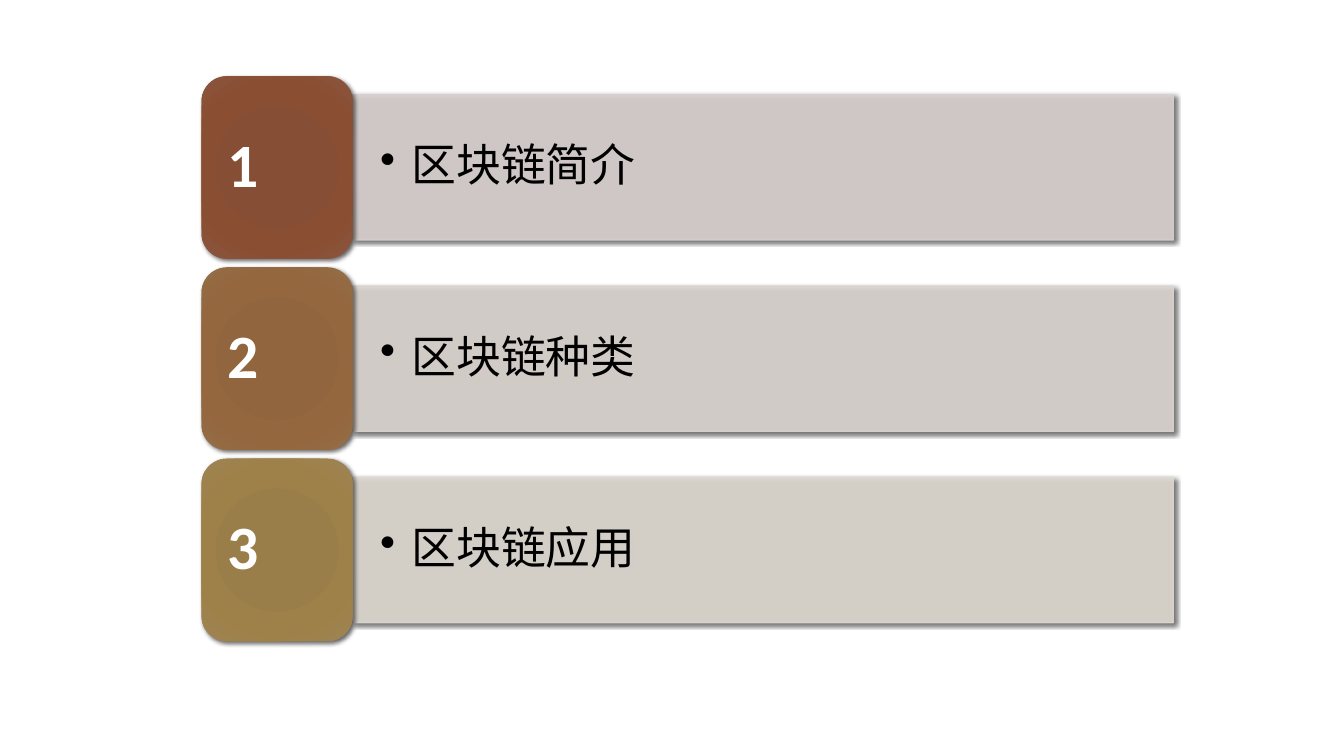
from dataclasses import dataclass

from lxml import etree
from pptx import Presentation
from pptx.dml.color import RGBColor
from pptx.enum.shapes import MSO_SHAPE
from pptx.enum.text import MSO_ANCHOR, PP_ALIGN
from pptx.oxml import parse_xml
from pptx.oxml.ns import nsdecls, qn
from pptx.shapes.autoshape import Shape
from pptx.shapes.shapetree import SlideShapes
from pptx.text.text import _Paragraph
from pptx.util import Cm, Pt

RECTANGLE = MSO_SHAPE.RECTANGLE
ROUNDED_RECTANGLE = MSO_SHAPE.ROUNDED_RECTANGLE
MIDDLE = MSO_ANCHOR.MIDDLE
LEFT = PP_ALIGN.LEFT


@dataclass(frozen=True)
class Theme:
    number_font: str = "Calibri"
    number_size: int = 44
    number_color: str = "FFFFFF"
    topic_size: int = 32
    topic_color: str = "000000"
    shadow_color: str = "000000"
    shadow_opacity: int = 60
    bar_opacity: int = 90
    line_spacing: float = 0.9
    gradient_stops: tuple[int, ...] = (0, 34, 70, 100)


@dataclass(frozen=True)
class Topic:
    title: str
    font: str
    bar_color: str
    badge_colors: tuple[str, ...]


@dataclass(frozen=True)
class Frame:
    """Position, size and text insets in centimetres."""
    left: float
    top: float
    width: float
    height: float
    side_inset: float
    end_inset: float


THEME = Theme()
BAR = Frame(8.89, 2.39, 20.68, 3.66, 0.69, 0.36)
BADGE = Frame(5.08, 1.92, 3.81, 4.6, 0.46, 0.23)
ROW_PITCH = 4.82
BULLET_INDENT = Cm(0.79)

TOPICS = (
    Topic("区块链简介", "Lato", "D9D1CF", ("874C32", "864E34", "8A4E33", "8A553D")),
    Topic("区块链种类", "Lato", "DCD5D0", ("91653C", "91663E", "94673E", "946D48")),
    Topic("区块链应用", "Calibri", "DED9D1", ("9A7D48", "9A7E4A", "9E8049", "9E8454")),
)


def add_block(shapes: SlideShapes, kind: MSO_SHAPE, frame: Frame, row: int,
              blur: float) -> Shape:
    """Add a shadowed shape in the given row, with its text insets set."""
    box = shapes.add_shape(kind, Cm(frame.left), Cm(frame.top + row * ROW_PITCH),
                           Cm(frame.width), Cm(frame.height))
    text = box.text_frame
    text.word_wrap = True
    text.vertical_anchor = MIDDLE
    text.margin_left = text.margin_right = Cm(frame.side_inset)
    text.margin_top = text.margin_bottom = Cm(frame.end_inset)
    add_shadow(box, blur)
    return box


def add_shadow(box: Shape, blur: float) -> None:
    box.shadow.inherit = False
    effects = box._element.spPr.find(qn("a:effectLst"))
    effects.append(parse_xml(
        f'<a:outerShdw {nsdecls("a")} blurRad="{Pt(blur)}" dist="{Pt(2)}" '
        f'dir="{45 * 60000}" algn="tl" rotWithShape="0">'
        f'<a:srgbClr val="{THEME.shadow_color}">'
        f'<a:alpha val="{THEME.shadow_opacity * 1000}"/></a:srgbClr></a:outerShdw>'))


def fill_bar(box: Shape, color: str) -> None:
    """Give fill and outline the same slightly transparent colour."""
    box.line.width = Pt(1)
    for fill in (box.fill, box.line.fill):
        fill.solid()
        fill.fore_color.rgb = RGBColor.from_string(color)
    for value in box._element.spPr.findall(f'.//{qn("a:solidFill")}/{qn("a:srgbClr")}'):
        etree.SubElement(value, qn("a:alpha"), val=str(THEME.bar_opacity * 1000))


def fill_badge(box: Shape, colors: tuple[str, ...]) -> None:
    """Apply a circular gradient without an outline."""
    box.fill.background()
    stops = "".join(
        f'<a:gs pos="{stop * 1000}"><a:srgbClr val="{color}"/></a:gs>'
        for stop, color in zip(THEME.gradient_stops, colors))
    properties = box._element.spPr
    properties.replace(properties.find(qn("a:noFill")), parse_xml(
        f'<a:gradFill {nsdecls("a")} rotWithShape="1"><a:gsLst>{stops}</a:gsLst>'
        '<a:path path="circle"><a:fillToRect l="100000" t="100000" r="100000" '
        'b="100000"/></a:path></a:gradFill>'))
    box.line.fill.background()


def write(box: Shape, text: str, font: str, size: int, color: str,
          bold: bool = False) -> _Paragraph:
    para = box.text_frame.paragraphs[0]
    para.text = text
    para.alignment = LEFT
    para.line_spacing = THEME.line_spacing
    para.font.name = font
    para.font.size = Pt(size)
    para.font.bold = bold
    para.font.color.rgb = RGBColor.from_string(color)
    return para


def add_bullet(para: _Paragraph) -> None:
    para.level = 1
    properties = para._p.get_or_add_pPr()
    properties.set("marL", str(BULLET_INDENT))
    properties.set("indent", str(-BULLET_INDENT))
    bullet = parse_xml(f'<a:buChar {nsdecls("a")} char="•"/>')
    properties.find(qn("a:defRPr")).addprevious(bullet)


def add_topic(shapes: SlideShapes, row: int, topic: Topic) -> None:
    bar = add_block(shapes, RECTANGLE, BAR, row, blur=3)
    fill_bar(bar, topic.bar_color)
    add_bullet(write(bar, topic.title, topic.font, THEME.topic_size, THEME.topic_color))

    badge = add_block(shapes, ROUNDED_RECTANGLE, BADGE, row, blur=3.5)
    fill_badge(badge, topic.badge_colors)
    write(badge, str(row + 1), THEME.number_font, THEME.number_size,
          THEME.number_color, bold=True)


def main() -> None:
    deck = Presentation()
    deck.slide_width, deck.slide_height = Cm(33.87), Cm(19.05)
    page = deck.slides.add_slide(deck.slide_layouts[6])
    for row, topic in enumerate(TOPICS):
        add_topic(page.shapes, row, topic)
    deck.save("out.pptx")


if __name__ == "__main__":
    main()
